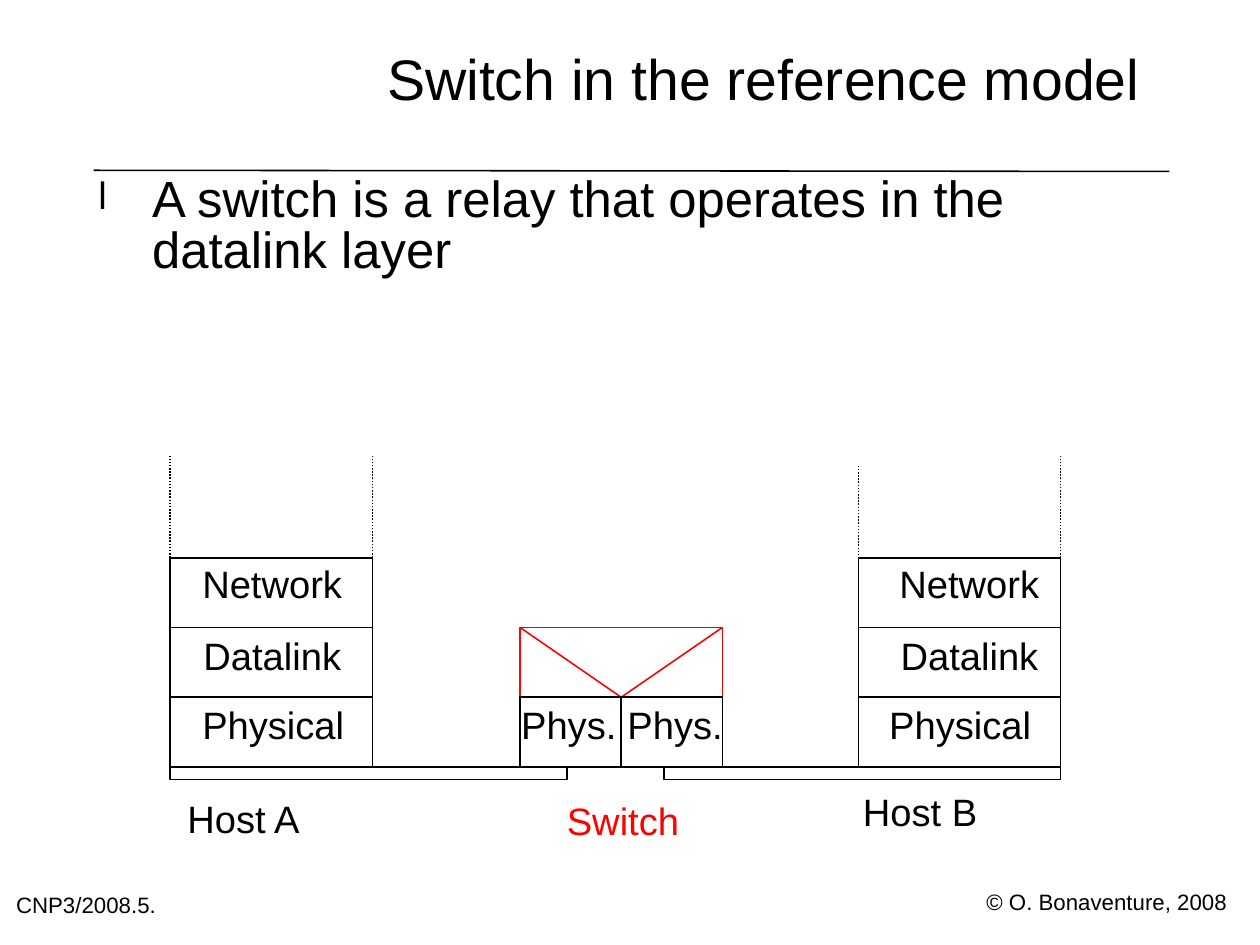
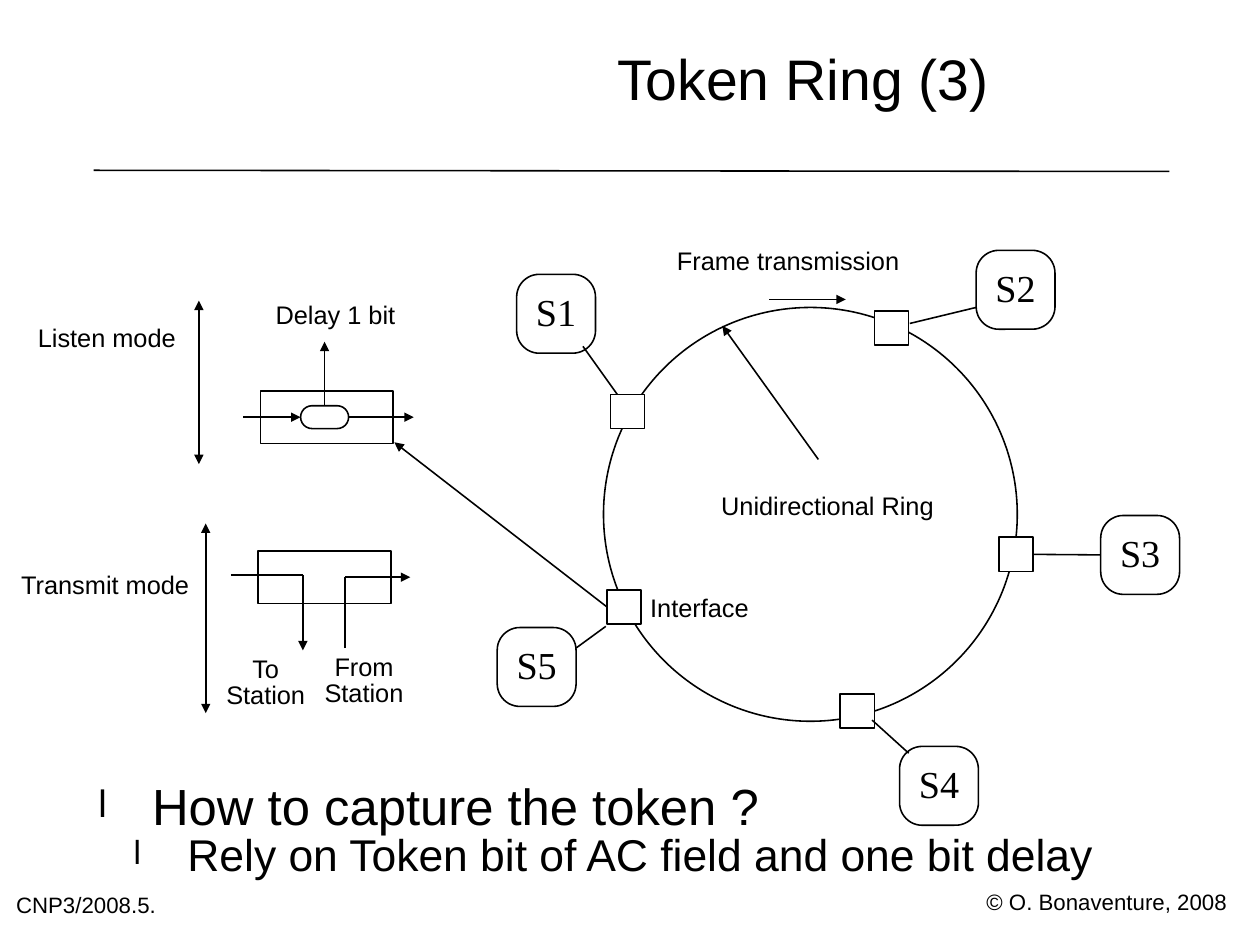
from lxml.etree import SubElement
from pptx import Presentation
from pptx.dml.color import RGBColor
from pptx.enum.dml import MSO_LINE
from pptx.enum.shapes import MSO_CONNECTOR, MSO_SHAPE
from pptx.enum.text import MSO_ANCHOR, MSO_AUTO_SIZE, PP_ALIGN
from pptx.oxml.ns import qn
from pptx.util import Cm, Inches, Pt

COLORS = {"ink": "000000", "accent": "FF0000", "paper": "FFFFFF"}
SANS, SERIF = "Arial", "Times New Roman"
LEFT, CENTER = PP_ALIGN.LEFT, PP_ALIGN.CENTER


def rgb(name):
    return RGBColor.from_string(COLORS[name])


def add_bullet(p, indent):
    pPr = p._p.get_or_add_pPr()
    pPr.set("marL", str(Inches(indent)))
    pPr.set("indent", str(Inches(-0.47)))
    clr = SubElement(pPr, qn("a:buClr"))
    SubElement(clr, qn("a:srgbClr")).set("val", COLORS["ink"])
    SubElement(pPr, qn("a:buSzPct")).set("val", "75000")
    SubElement(pPr, qn("a:buFont")).set("typeface", SANS)
    SubElement(pPr, qn("a:buChar")).set("char", "l")


def write_text(tf, text, size=16, font=SANS, color="ink", align=LEFT, spacing=0.84,
               anchor=MSO_ANCHOR.TOP, wrap=False, left=0, top=0, levels=()):
    tf.auto_size = MSO_AUTO_SIZE.NONE
    tf.word_wrap = wrap
    tf.vertical_anchor = anchor
    tf.margin_left, tf.margin_top = Inches(left), Inches(top)
    tf.margin_right = tf.margin_bottom = 0
    for i, line in enumerate(text.split("\n")):
        p = tf.add_paragraph() if i else tf.paragraphs[0]
        if levels:
            p.level = i
            size, indent = levels[i]
            add_bullet(p, indent)
        p.alignment = align
        p.line_spacing = spacing
        p.space_before = p.space_after = Pt(0)
        r = p.add_run()
        r.text = line
        r.font.size = Pt(size)
        r.font.name = font
        r.font.color.rgb = rgb(color)


class Deck:
    levels = ((32, 0.55), (28, 0.86))

    def __init__(self, prs):
        self.prs = prs
        self.s = None

    def slide(self, title, title_box, body, body_box):
        self.s = self.prs.slides.add_slide(self.prs.slide_layouts[1])
        self.line((0.82, 1.49), (10.23, 1.5))
        self.text("© O. Bonaventure, 2008", 8.63, 7.81, 2.11, 0.2, size=14)
        self.text("CNP3/2008.5.", 0.14, 7.84, 1.68, 0.24, size=14)
        self.placeholder(0, title, title_box, size=36, align=CENTER, anchor=MSO_ANCHOR.MIDDLE)
        self.placeholder(1, body, body_box, levels=self.levels)

    def placeholder(self, index, text, box, **fmt):
        sp = self.s.placeholders[index]
        sp.left, sp.top, sp.width, sp.height = map(Inches, box)
        write_text(sp.text_frame, text, wrap=True, **fmt)

    def text(self, text, x, y, w, h, **fmt):
        sp = self.s.shapes.add_textbox(*map(Inches, (x, y, w, h)))
        write_text(sp.text_frame, text, **fmt)

    def shape(self, x, y, w, h, kind=MSO_SHAPE.RECTANGLE, fill=None, color="ink", adj=None):
        sp = self.s.shapes.add_shape(kind, *map(Inches, (x, y, w, h)))
        sp.shadow.inherit = False
        if fill:
            sp.fill.solid()
            sp.fill.fore_color.rgb = rgb(fill)
        else:
            sp.fill.background()
        sp.line.color.rgb = rgb(color)
        sp.line.width = Pt(1)
        if adj is not None:
            sp.adjustments[0] = adj
        return sp

    def line(self, start, end, color="ink", dash=None, head=False, tail=False):
        points = [(0, 0) if hasattr(pt[0], "shape_id") else pt for pt in (start, end)]
        c = self.s.shapes.add_connector(
            MSO_CONNECTOR.STRAIGHT, *(Inches(v) for pt in points for v in pt))
        if points[0] != start:
            c.begin_connect(*start)
        if points[1] != end:
            c.end_connect(*end)
        c.line.color.rgb = rgb(color)
        c.line.width = Pt(1)
        if dash:
            c.line.dash_style = dash
        ln = c.line._get_or_add_ln()
        for wanted, tag in ((head, "a:headEnd"), (tail, "a:tailEnd")):
            if wanted:
                SubElement(ln, qn(tag)).set("type", "triangle")
        SubElement(c._element.spPr, qn("a:effectLst"))

    def arrow(self, start, end, **fmt):
        self.line(start, end, tail=True, **fmt)


def switch_slide(d):
    d.slide("Switch in the reference model", (3.04, 0, 7.28, 1.46),
            "A switch is a relay that operates in the datalink layer", (0.78, 1.54, 9.41, 3.75))
    top, width, height = 4.88, 1.77, 0.61
    wire_top = top + 3 * height
    layers = (("Network", 0.09), ("Datalink", 0.11), ("Physical", 0.1))
    hosts = ((1.49, (0.28, 0.29, 0.28), 0), (7.51, (0.36, 0.37, 0.27), 0.09))

    for x in (1.49, 5.81):
        d.shape(x, wire_top, 3.47, 0.11)
    for x, insets, drop in hosts:
        for i, ((name, inset_top), inset) in enumerate(zip(layers, insets)):
            box = d.shape(x, top + i * height, width, height)
            write_text(box.text_frame, name, size=24, left=inset, top=inset_top)
        for side, dy in ((x, drop), (x + width, 0)):
            d.line((side, top + dy), (side, top + dy - 0.89), dash=MSO_LINE.ROUND_DOT)

    x, y = 4.55, top + height
    relay = d.shape(x, y, width, height, color="accent")
    for corner in (x, x + width):
        d.line((corner, y), (relay, 2), color="accent")
    ports = d.shape(x, y + height, width, height)
    d.line((ports, 0), (ports, 2))
    for port_x in (4.56, 5.49):
        d.text("Phys.", port_x, 6.2, 0.83, 0.34, size=24)

    for name, x, y, color in (("Host A", 1.64, 7.02, "ink"), ("Host B", 7.55, 6.96, "ink"),
                              ("Switch", 4.96, 7.04, "accent")):
        d.text(name, x, y, 1, 0.34, size=24, color=color)


def ring(d):
    rounded = MSO_SHAPE.ROUNDED_RECTANGLE
    d.shape(5.28, 2.69, 3.62, 3.62, MSO_SHAPE.OVAL)
    stations = (
        ("S1", (4.52, 2.4), (5.34, 3.45), ((5.4, 3.45), (5.1, 3.03))),
        ("S2", (8.54, 2.19), (7.65, 2.72), ((7.96, 2.83), (8.54, 2.69))),
        ("S3", (9.63, 4.51), (8.74, 4.7), None),
        ("S4", (7.87, 6.53), (7.35, 6.07), ((7.63, 6.3), (7.95, 6.59))),
        ("S5", (4.35, 5.49), (5.31, 5.16), ((5.3, 5.48), (5.04, 5.67))),
    )
    for name, place, tap_place, link in stations:
        station = d.shape(*place, 0.69, 0.69, rounded, adj=0.287)
        write_text(station.text_frame, name, size=24, font=SERIF, align=CENTER,
                   spacing=0.93, anchor=MSO_ANCHOR.MIDDLE)
        tap = d.shape(*tap_place, 0.3, 0.3, fill="paper")
        d.line(*(link or ((tap, 3), (station, 1))))
    d.arrow((tap, 1), (3.45, 3.87))
    d.arrow((6.73, 2.62), (7.4, 2.62))
    d.arrow((7.16, 4.02), (6.32, 2.85))


def interface_modes(d):
    d.shape(2.28, 3.42, 1.16, 0.46)
    delay = d.shape(2.63, 3.55, 0.42, 0.2, MSO_SHAPE.ROUNDED_RECTANGLE, adj=0.5)
    d.arrow((delay, 0), (2.84, 2.99))
    d.arrow((2.13, 3.65), (delay, 1))
    d.arrow((delay, 3), (3.62, 3.65))

    d.shape(2.26, 4.82, 1.16, 0.46)
    d.line((2.02, 5.03), (2.65, 5.03))
    d.arrow((2.65, 5.03), (2.65, 5.69))
    d.line((3.02, 5.67), (3.02, 5.05))
    d.arrow((3.02, 5.05), (3.59, 5.05))

    for x, y1, y2 in ((1.74, 2.63, 4.06), (1.8, 4.58, 6.24)):
        d.arrow((x, y1), (x, y2), head=True)


def token_ring_slide(d):
    d.slide("Token Ring (3)", (3.73, 0, 6.59, 1.46),
            "How to capture the token ?\nRely on Token bit of AC field and one bit delay",
            (0.78, 6.86, 9.42, 1.4))
    ring(d)
    interface_modes(d)
    labels = (
        ("Frame transmission", 5.92, 2.19, 1.95),
        ("Unidirectional Ring", 6.28, 4.33, 1.92),
        ("Interface", 5.69, 5.22, 0.86),
        ("Delay 1 bit", 2.41, 2.66, 1.05),
        ("Listen mode", 0.33, 2.86, 1.21),
        ("Transmit mode", 0.18, 5.02, 1.48),
        ("To\nStation", 1.98, 5.76, 0.69),
        ("From\nStation", 2.84, 5.74, 0.69),
    )
    for text, x, y, w in labels:
        d.text(text, x, y, w, 0.22 * len(text.split("\n")), align=CENTER)


def main():
    prs = Presentation()
    prs.slide_width = Cm(28)
    prs.slide_height = Cm(21)
    d = Deck(prs)
    switch_slide(d)
    token_ring_slide(d)
    prs.save("out.pptx")


if __name__ == "__main__":
    main()
